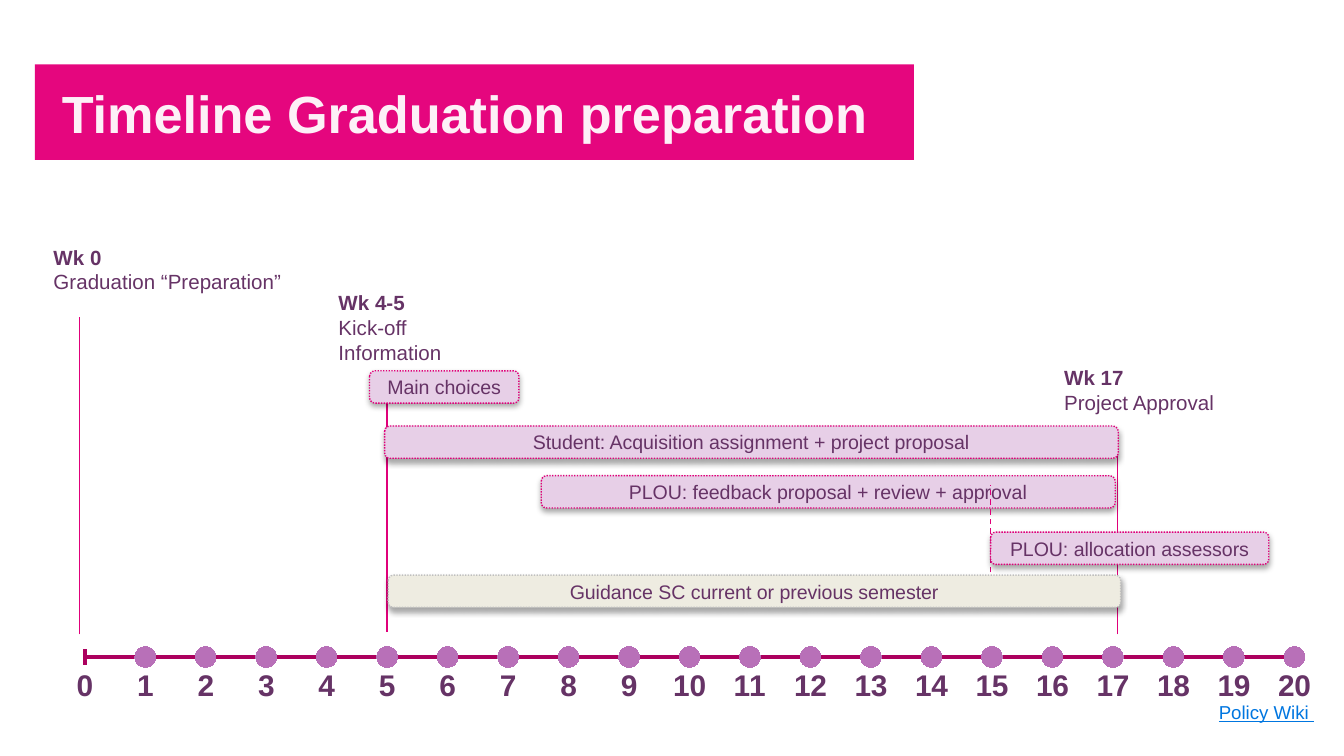
from lxml import etree
from pptx import Presentation
from pptx.chart.data import XyChartData
from pptx.dml.color import RGBColor
from pptx.enum.chart import XL_CHART_TYPE, XL_MARKER_STYLE, XL_TICK_LABEL_POSITION, XL_TICK_MARK
from pptx.enum.dml import MSO_LINE
from pptx.enum.shapes import MSO_CONNECTOR, MSO_SHAPE
from pptx.enum.text import MSO_ANCHOR, PP_ALIGN
from pptx.oxml import parse_xml
from pptx.oxml.ns import qn
from pptx.util import Inches, Pt

SCATTER = XL_CHART_TYPE.XY_SCATTER
CIRCLE = XL_MARKER_STYLE.CIRCLE
LABELS_LOW = XL_TICK_LABEL_POSITION.LOW
CROSS, NO_TICK = XL_TICK_MARK.CROSS, XL_TICK_MARK.NONE
DOTTED, DASHED = MSO_LINE.ROUND_DOT, MSO_LINE.DASH
STRAIGHT = MSO_CONNECTOR.STRAIGHT
ROUNDED = MSO_SHAPE.ROUNDED_RECTANGLE
TOP, MIDDLE = MSO_ANCHOR.TOP, MSO_ANCHOR.MIDDLE
LEFT, CENTER = PP_ALIGN.LEFT, PP_ALIGN.CENTER

PLUM, PINK, LILAC = "663366", "E0007A", "E7CFE7"
A = 'xmlns:a="http://schemas.openxmlformats.org/drawingml/2006/main"'
C = 'xmlns:c="http://schemas.openxmlformats.org/drawingml/2006/chart"'
SHADOW = (f'<a:effectLst {A}><a:outerShdw blurRad="39370" dist="22860" dir="5400000" '
          'rotWithShape="0"><a:srgbClr val="000000"><a:alpha val="35000"/></a:srgbClr>'
          '</a:outerShdw></a:effectLst>')

# Week grid: week 0 to week 20 along the time axis
WEEKS, WEEK_ZERO, WEEK_WIDTH = 20, 0.63, 0.45
AXIS_TOP = 4.89


def color(target, value):
    """Give a fill, line or font a hex colour."""
    if hasattr(target, "solid"):
        target.solid()
        target = target.fore_color
    elif hasattr(target, "color"):
        target = target.color
    target.rgb = RGBColor.from_string(value)


def week(number):
    return Inches(WEEK_ZERO + number * WEEK_WIDTH)


deck = Presentation()
deck.slide_width = Inches(10)
deck.slide_height = deck.slide_width * 9 // 16
page = deck.slides.add_slide(deck.slide_layouts[5])

# Title banner
title = page.shapes.title
title.left, title.top, title.width, title.height = map(Inches, (0.26, 0.48, 6.54, 0.71))
color(title.fill, "E5067E")
frame = title.text_frame
frame.text = "Timeline Graduation preparation"
frame.vertical_anchor = MIDDLE
frame.margin_left = frame.margin_right = Inches(0.2)
frame.margin_top = frame.margin_bottom = Inches(0.12)
para = frame.paragraphs[0]
para.alignment = LEFT
para.font.name, para.font.size, para.font.bold = "Arial", Pt(28), True
color(para.font, "FDF0F7")

# Link-styled label and milestone labels: left, top, width, height, lines
labels = [
    (8.97, 5.08, 0.95, 0.43, ["Policy Wiki "]),
    (0.3, 1.77, 1.94, 0.75, ["Wk 0", "Graduation “Preparation”"]),
    (2.42, 2.11, 0.98, 0.75, ["Wk 4-5", "Kick-off \vInformation"]),
    (7.82, 2.67, 1.46, 0.54, ["Wk 17", "Project Approval"]),
]
for *place, lines in labels:
    milestone = len(lines) > 1
    box = page.shapes.add_textbox(*map(Inches, place))
    frame = box.text_frame
    frame.word_wrap = not milestone
    frame.vertical_anchor = TOP if milestone else MIDDLE
    frame.text = "\n".join(lines)
    for index, para in enumerate(frame.paragraphs):
        para.font.name, para.font.size = "Arial", Pt(11 if milestone else 10)
        para.font.bold = milestone and index == 0
        para.font.underline = not milestone
        color(para.font, PLUM if milestone else "0076E0")

# Milestone lines and activity bars, back to front
# line: week, top, bottom, dash; bar: week, top, weeks long, text, fill, outline
items = [
    (-0.09, 2.36, 4.72, None),
    (5, 2.85, 4.7, None),
    (17.08, 3.22, 4.72, None),
    (4.96, 3.17, 12.13, "Student: Acquisition assignment + project proposal", LILAC, PINK),
    (4.71, 2.76, 2.47, "Main choices", LILAC, PINK),
    (7.55, 3.54, 9.49, "PLOU: feedback proposal + review + approval", LILAC, PINK),
    (14.98, 3.61, 4.33, DASHED),
    (14.98, 3.96, 4.6, "PLOU: allocation assessors", LILAC, PINK),
    (5.02, 4.28, 12.11, "Guidance SC current or previous semester", "EEECE1", "BFBFBF"),
]
for start, top, extent, *rest in items:
    if len(rest) == 1:
        line = page.shapes.add_connector(STRAIGHT, week(start), Inches(extent),
                                         week(start), Inches(top))
        color(line.line, PINK)
        line.line.width = Pt(0.75)
        line.line.dash_style = rest[0]
        etree.SubElement(line._element.spPr, qn("a:effectLst"))
        continue
    text, fill, outline = rest
    bar = page.shapes.add_shape(ROUNDED, week(start), Inches(top),
                                Inches(extent * WEEK_WIDTH), Inches(0.24))
    color(bar.fill, fill)
    color(bar.line, outline)
    bar.line.width, bar.line.dash_style = Pt(0.75), DOTTED
    bar._element.spPr.append(parse_xml(SHADOW))
    frame = bar.text_frame
    frame.text, frame.vertical_anchor = text, MIDDLE
    para = frame.paragraphs[0]
    para.alignment = CENTER
    para.font.name, para.font.size = "Arial", Pt(10.5)
    color(para.font, PLUM)

# Time axis: a scatter chart with one dot per week
left, top, width, height = 0.39, 2.42, 9.54, 2.86
data = XyChartData()
series_data = data.add_series("Series 1")
for number in range(1, WEEKS + 1):
    series_data.add_data_point(number, 0)
chart = page.shapes.add_chart(SCATTER, *map(Inches, (left, top, width, height)), data).chart
chart.has_legend = chart.has_title = False
chart.font.name, chart.font.size = "Arial", Pt(10)
color(chart.font, PLUM)

time_axis, height_axis = chart.category_axis, chart.value_axis
time_axis.minimum_scale, time_axis.maximum_scale, time_axis.major_unit = 0, WEEKS, 1
time_axis.has_major_gridlines = height_axis.has_major_gridlines = False
time_axis.major_tick_mark, time_axis.minor_tick_mark = CROSS, NO_TICK
time_axis.tick_label_position = LABELS_LOW
color(time_axis.format.line, "AC005E")
time_axis.format.line.width = Pt(2)
font = time_axis.tick_labels.font
font.name, font.size, font.bold = "Arial", Pt(16), True
color(font, PLUM)
height_axis.minimum_scale, height_axis.maximum_scale = 0, 1
height_axis.visible = False

series = chart.plots[0].series[0]
series.format.line.fill.background()
series.marker.style, series.marker.size = CIRCLE, 11
color(series.marker.format.fill, "B870B8")
color(series.marker.format.line, "B870B8")

# Clear chart background, and plot area aligned with the week grid
space = chart._chartSpace
space.find(qn("c:txPr")).addprevious(parse_xml(
    f'<c:spPr {C} {A}><a:noFill/><a:ln><a:noFill/></a:ln></c:spPr>'))
plot_area = space.chart.plotArea
for old in plot_area.findall(qn("c:layout")):
    plot_area.remove(old)
shares = {"x": (WEEK_ZERO - left) / width, "y": 0.05,
          "w": WEEKS * WEEK_WIDTH / width, "h": (AXIS_TOP - top) / height - 0.05}
modes = '<c:layoutTarget val="inner"/><c:xMode val="edge"/><c:yMode val="edge"/>'
sizes = "".join(f'<c:{name} val="{share:.4f}"/>' for name, share in shares.items())
plot_area.insert(0, parse_xml(
    f'<c:layout {C}><c:manualLayout>{modes}{sizes}</c:manualLayout></c:layout>'))

deck.save("out.pptx")
